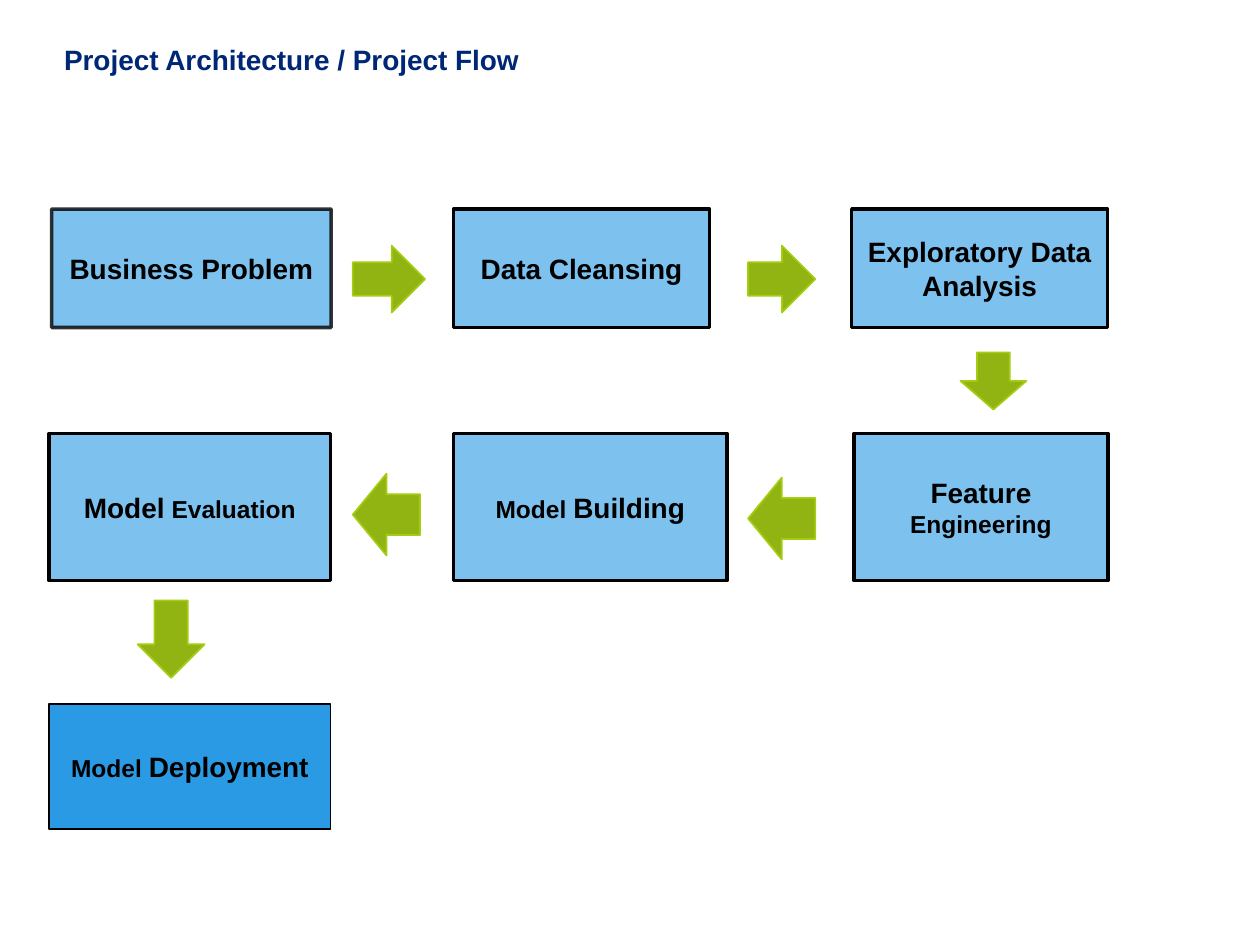
from lxml import etree
from pptx import Presentation
from pptx.dml.color import RGBColor
from pptx.enum import shapes, text
from pptx.oxml import ns
from pptx.util import Pt

NAVY = RGBColor(0x00, 0x27, 0x76)
BLACK = RGBColor(0x00, 0x00, 0x00)
SKY = RGBColor(0x7D, 0xC1, 0xEF)
BLUE = RGBColor(0x2B, 0x9A, 0xE5)
GREEN = RGBColor(0x92, 0xB4, 0x13)
LIME = RGBColor(0xA4, 0xCC, 0x11)
FONT = "Arial"
SPACE_FONT = "TeX Gyre Adventor"

TITLE = "Project Architecture / Project Flow"

# Row: top, height, fill, line width
ROWS = {
    "prepare": (119.5, 67.7, SKY, 2),
    "model": (247.7, 84.2, SKY, 2),
    "deploy": (402.5, 71.3, BLUE, 1),
}
# Row, left, width, runs (text, size, font), line opacity in percent
STEPS = [
    ("prepare", 29.5, 159.8, [("Business Problem", 16, FONT)], 80),
    ("prepare", 259.2, 146.2, [("Data Cleansing", 16, FONT)], 100),
    ("prepare", 486.7, 146.2, [("Exploratory Data Analysis", 16, FONT)], 100),
    ("model", 488, 145.2, [("Feature", 16, FONT), (" Engineering", 14, FONT)], 100),
    ("model", 259.2, 156.3, [("Model ", 14, FONT), ("Building", 16, FONT)], 100),
    ("model", 28.1, 160.8, [("Model", 16, FONT), (" ", 14, SPACE_FONT),
                            ("Evaluation", 14, FONT)], 100),
    ("deploy", 28.1, 160.8, [("Model ", 14, FONT), ("Deployment", 16, FONT)], 100),
]
# Direction, left, top, width, height
ARROWS = [
    ("right", 201.6, 140.4, 41.3, 38.2),
    ("right", 427.5, 140.4, 38.4, 38.2),
    ("down", 548.9, 201.4, 37.6, 32.6),
    ("left", 427.5, 272.9, 38.4, 46.7),
    ("left", 201.6, 270.7, 38.4, 46.7),
    ("down", 78.7, 343.1, 38.2, 44.2),
]
ARROW_SHAPES = {
    "right": (shapes.MSO_SHAPE.RIGHT_ARROW, 0),
    "left": (shapes.MSO_SHAPE.RIGHT_ARROW, 180),
    "down": (shapes.MSO_SHAPE.DOWN_ARROW, 0),
}


def add_run(p, words, size, font, color):
    r = p.add_run()
    r.text = words
    r.font.name, r.font.size, r.font.bold = font, Pt(size), True
    r.font.color.rgb = color


def add_filled(s, kind, box, fill, line, width):
    sp = s.shapes.add_shape(kind, *map(Pt, box))
    sp.shadow.inherit = False
    sp.fill.solid()
    sp.fill.fore_color.rgb = fill
    sp.line.color.rgb = line
    sp.line.width = Pt(width)
    return sp


def set_line_opacity(sp, percent):
    color = sp.line._ln.find(".//" + ns.qn("a:srgbClr"))
    etree.SubElement(color, ns.qn("a:alpha"), val=str(percent * 1000))


def add_step(s, row, left, width, runs, opacity):
    top, height, fill, line_width = ROWS[row]
    sp = add_filled(s, shapes.MSO_SHAPE.RECTANGLE, (left, top, width, height),
                    fill, BLACK, line_width)
    if opacity < 100:
        set_line_opacity(sp, opacity)
    tf = sp.text_frame
    tf.word_wrap = True
    tf.vertical_anchor = text.MSO_ANCHOR.MIDDLE
    p = tf.paragraphs[0]
    p.alignment = text.PP_ALIGN.CENTER
    for words, size, font in runs:
        add_run(p, words, size, font, BLACK)


def main():
    prs = Presentation()
    prs.slide_width, prs.slide_height = Pt(720), Pt(540)
    s = prs.slides.add_slide(prs.slide_layouts[6])

    tf = s.shapes.add_textbox(Pt(29.5), Pt(20.9), Pt(483), Pt(26.6)).text_frame
    tf.word_wrap = True
    tf.auto_size = text.MSO_AUTO_SIZE.SHAPE_TO_FIT_TEXT
    add_run(tf.paragraphs[0], TITLE, 16, FONT, NAVY)

    for step in STEPS:
        add_step(s, *step)
    for direction, *box in ARROWS:
        kind, rotation = ARROW_SHAPES[direction]
        add_filled(s, kind, box, GREEN, LIME, 1).rotation = rotation

    prs.save("out.pptx")


if __name__ == "__main__":
    main()
